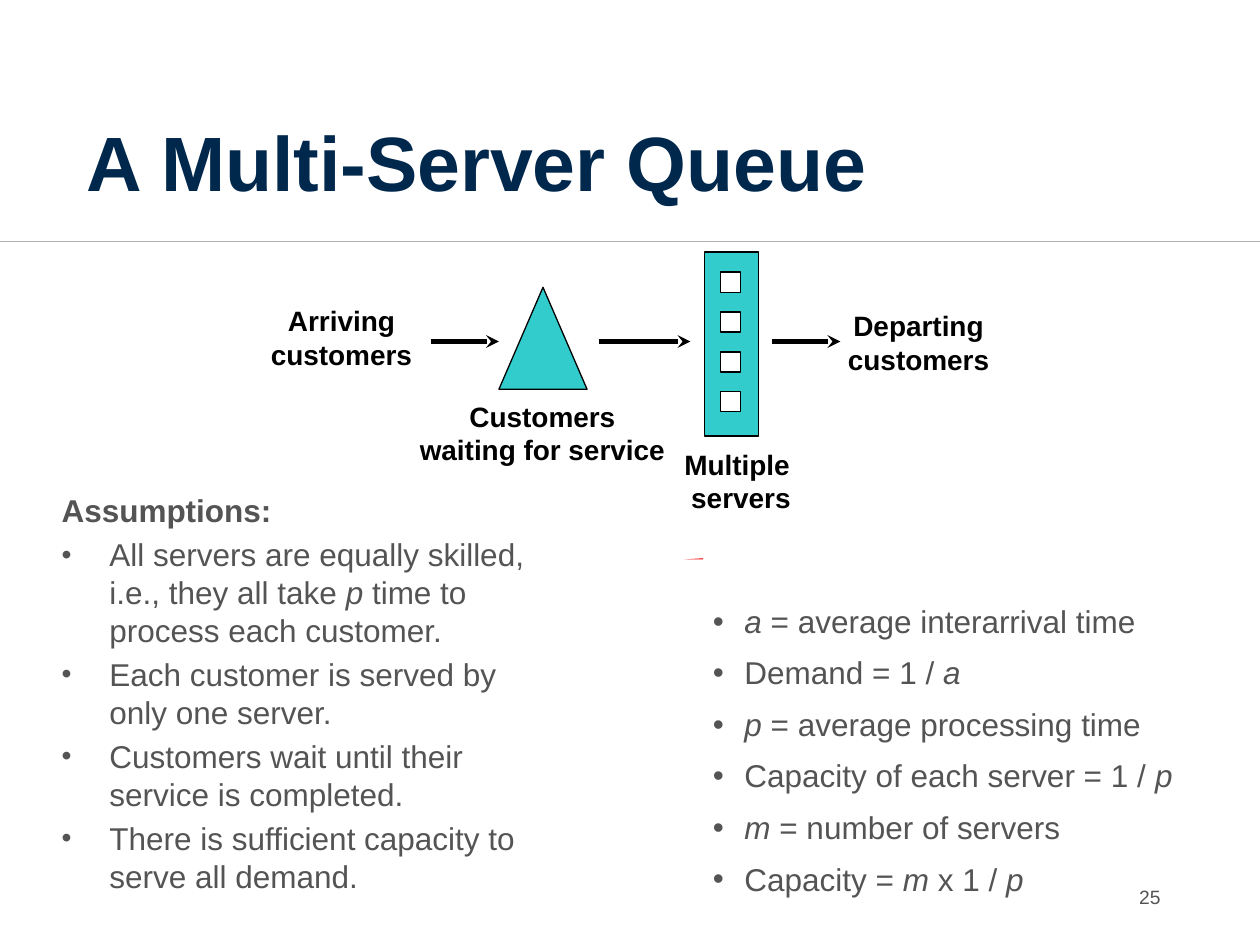
from lxml import etree
from pptx import Presentation
from pptx import util as u
from pptx.dml.color import RGBColor
from pptx.enum import shapes, text
from pptx.oxml import ns

NAVY = RGBColor(0x00, 0x27, 0x4C)
GRAY = RGBColor(0x54, 0x54, 0x54)
RULE = RGBColor(0xB2, 0xB2, 0xB2)
TEAL = RGBColor(0x33, 0xCC, 0xCC)
BLACK = RGBColor(0, 0, 0)
WHITE = RGBColor(0xFF, 0xFF, 0xFF)
RED = RGBColor(0xFF, 0, 0)

COL = u.Inches(10) / 100
ROW = u.Inches(7.5) / 100

ASSUMPTIONS = [
    "All servers are equally skilled, \ni.e., they all take *p* time to process each customer.",
    "Each customer is served by \nonly one server.",
    "Customers wait until their \nservice is completed.",
    "There is sufficient capacity to serve all demand.",
]
DEFINITIONS = [
    "*a* = average interarrival time",
    "Demand = 1 / *a*",
    "*p* = average processing time",
    "Capacity of each server = 1 / *p*",
    "*m* = number of servers",
    "Capacity = *m* x 1 / *p*",
]


def place(box):
    """Turn a box of columns and rows into slide lengths."""
    left, top, width, height = box
    return round(left * COL), round(top * ROW), round(width * COL), round(height * ROW)


def within(box, left, top, width=0, height=0):
    """Shift a part by the corner of the box that holds it."""
    return box[0] + left, box[1] + top, width, height


def style(font, size, color, bold=False):
    """Give a font its face, size and colour."""
    font.name, font.size, font.bold = "Arial", u.Pt(size), bold
    font.color.rgb = color


def add_box(slide, box):
    """Add a wrapping text box and return its frame."""
    frame = slide.shapes.add_textbox(*place(box)).text_frame
    frame.word_wrap = True
    return frame


def add_line(slide, start, end, color, width, arrow=False):
    """Draw a straight line between two grid points."""
    ends = place((*start, *end))
    line = slide.shapes.add_connector(shapes.MSO_CONNECTOR.STRAIGHT, *ends)
    line.line.color.rgb, line.line.width = color, u.Pt(width)
    if arrow:
        etree.SubElement(line.line._get_or_add_ln(), ns.qn("a:tailEnd"), type="stealth")
    etree.SubElement(line._element.spPr, ns.qn("a:effectLst"))


def add_outlined(slide, kind, box, fill):
    """Draw a filled shape with a thin black outline."""
    shape = slide.shapes.add_shape(kind, *place(box))
    shape.shadow.inherit = False
    shape.fill.solid()
    shape.fill.fore_color.rgb = fill
    shape.line.color.rgb, shape.line.width = BLACK, u.Pt(0.75)


def write_bullet(paragraph, wording, indent, percent=100):
    """Write a bulleted paragraph whose starred parts are italic."""
    properties = paragraph._p.get_or_add_pPr()
    properties.set("marL", str(u.Inches(indent)))
    properties.set("indent", str(-u.Inches(indent)))
    etree.SubElement(properties, ns.qn("a:buSzPct"), val=str(percent * 1000))
    etree.SubElement(properties, ns.qn("a:buFont"), typeface="Arial")
    etree.SubElement(properties, ns.qn("a:buChar"), char="•")
    for index, part in enumerate(wording.split("*")):
        for number, piece in enumerate(part.split("\n")):
            if number:
                paragraph.add_line_break()
            if piece:
                run = paragraph.add_run()
                run.text = piece
                style(run.font, 18, GRAY)
                run.font.italic = index % 2 == 1


def add_heading(slide, box):
    """Place the title and the rule below it."""
    title = slide.shapes.title
    title.left, title.top, title.width, title.height = place(box)
    frame = title.text_frame
    frame.text = "A Multi-Server Queue"
    frame.auto_size = text.MSO_AUTO_SIZE.NONE
    frame.vertical_anchor = text.MSO_ANCHOR.BOTTOM
    frame.margin_left, frame.margin_bottom = 0, u.Inches(0.2)
    paragraph = frame.paragraphs[0]
    paragraph.alignment, paragraph.line_spacing = text.PP_ALIGN.LEFT, 0.9
    style(paragraph.runs[0].font, 44, NAVY, True)
    rule = box[1] + box[3] + 0.93
    add_line(slide, (0, rule), (100, rule), RULE, 0.5)


def add_definitions(slide, box):
    """List the symbols, with a red sliver above the list's left edge."""
    frame = add_box(slide, box)
    frame.margin_top = u.Inches(0.2)
    for index, wording in enumerate(DEFINITIONS):
        paragraph = frame.add_paragraph() if index else frame.paragraphs[0]
        write_bullet(paragraph, wording, 0.25)
        paragraph.line_spacing = 0.9
        if index:
            paragraph.space_before = u.Pt(10)
    low_left, high_right, low_right = (
        place(within(box, *point))[:2] for point in [(-1.3, -2.27), (0.2, -2.4), (0.2, -2.27)]
    )
    builder = slide.shapes.build_freeform(*low_left)
    builder.add_line_segments([high_right, low_right], close=True)
    sliver = builder.convert_to_shape()
    sliver.shadow.inherit = False
    sliver.fill.solid()
    sliver.fill.fore_color.rgb = RED
    sliver.line.fill.background()


def add_assumptions(slide, box):
    """List the assumptions on a white panel."""
    panel = slide.shapes.add_shape(shapes.MSO_SHAPE.RECTANGLE, *place(box))
    panel.shadow.inherit = False
    panel.fill.solid()
    panel.fill.fore_color.rgb = WHITE
    panel.line.fill.background()
    frame = panel.text_frame
    frame.word_wrap, frame.vertical_anchor = True, text.MSO_ANCHOR.TOP
    frame.text = "Assumptions:"
    style(frame.paragraphs[0].runs[0].font, 18, GRAY, True)
    for wording in ASSUMPTIONS:
        paragraph = frame.add_paragraph()
        write_bullet(paragraph, wording, 0.38, 90)
        paragraph.space_before = u.Pt(3.6)
    for paragraph in frame.paragraphs:
        paragraph.alignment = text.PP_ALIGN.LEFT


def add_queue(slide, box):
    """Draw the flow from arrival through waiting and service to departure."""
    labels = [
        ("Multiple \nservers", 31.7, 20, 19.2),
        ("Customers waiting for service", 14.7, 14.93, 21.7),
        ("Arriving customers", 0, 4.8, 19.2),
        ("Departing customers", 45.8, 5.33, 19.2),
    ]
    for wording, left, top, width in labels:
        frame = add_box(slide, within(box, left, top, width, 8.53))
        frame.text = wording
        for paragraph in frame.paragraphs:
            paragraph.alignment = text.PP_ALIGN.CENTER
            style(paragraph.runs[0].font, 16, BLACK, True)
    waiting = within(box, 22.1, 3.73, 7, 10.8)
    add_outlined(slide, shapes.MSO_SHAPE.ISOSCELES_TRIANGLE, waiting, TEAL)
    servers = within(box, 38.4, 0, 4.3, 19.47)
    add_outlined(slide, shapes.MSO_SHAPE.RECTANGLE, servers, TEAL)
    for number in range(4):
        server = within(servers, 1.3, 2.13 + 4.22 * number, 1.6, 2.13)
        add_outlined(slide, shapes.MSO_SHAPE.RECTANGLE, server, WHITE)
    for start, end in [(16.7, 22.1), (30, 37.3), (43.8, 49.2)]:
        points = (within(box, x, 9.47)[:2] for x in (start, end))
        add_line(slide, *points, BLACK, 2.5, arrow=True)


def add_page_number(slide, box):
    """Write the page number at the foot of the slide."""
    frame = add_box(slide, box)
    frame.text = "25"
    frame.vertical_anchor = text.MSO_ANCHOR.MIDDLE
    frame.paragraphs[0].alignment = text.PP_ALIGN.RIGHT
    style(frame.paragraphs[0].runs[0].font, 11, GRAY)


def main():
    """Build the slide and save it."""
    deck = Presentation()
    deck.slide_width, deck.slide_height = u.Inches(10), u.Inches(7.5)
    slide = deck.slides.add_slide(deck.slide_layouts[5])
    add_heading(slide, (6.9, 5.33, 86.2, 19.33))
    add_definitions(slide, (55.6, 61.47, 42.5, 37.2))
    add_assumptions(slide, (3.9, 51.33, 40.5, 47.73))
    add_queue(slide, (17.5, 26.67, 65, 28.53))
    add_page_number(slide, (84.7, 92.27, 8.4, 5.33))
    deck.save("out.pptx")


if __name__ == "__main__":
    main()
